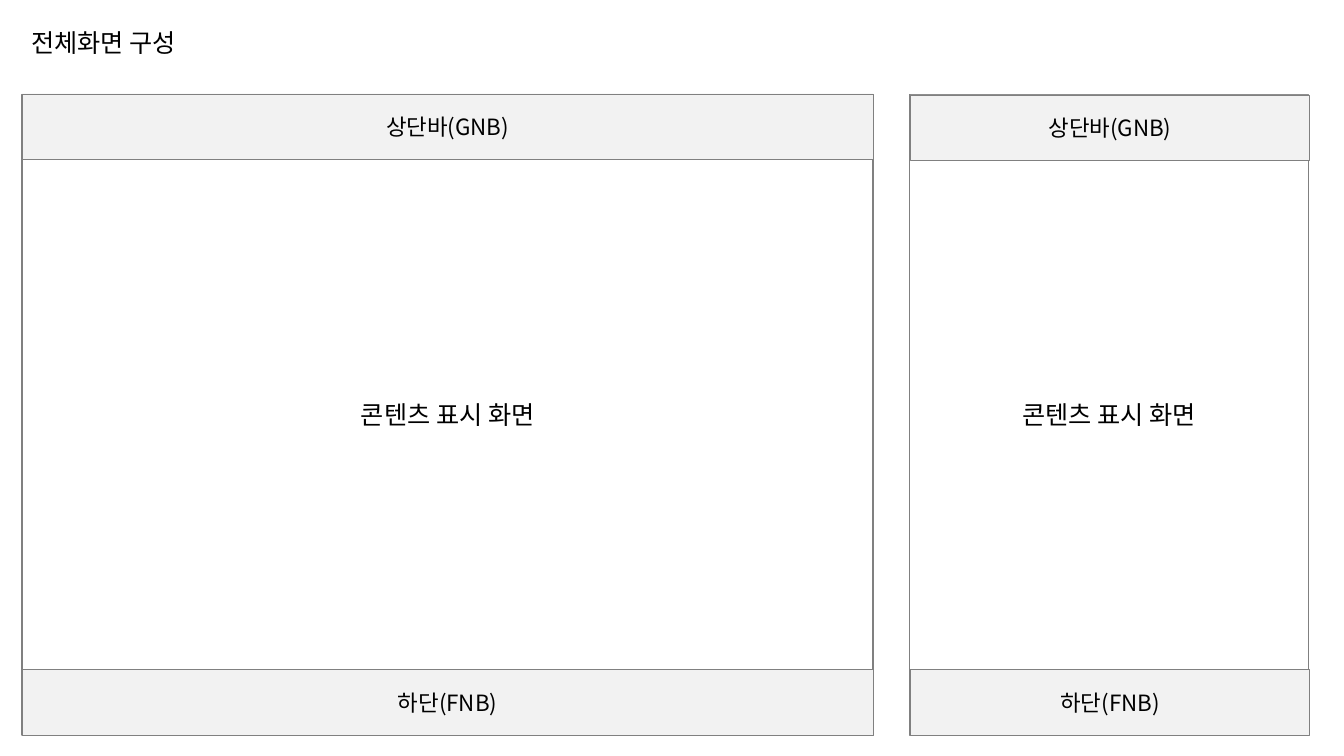
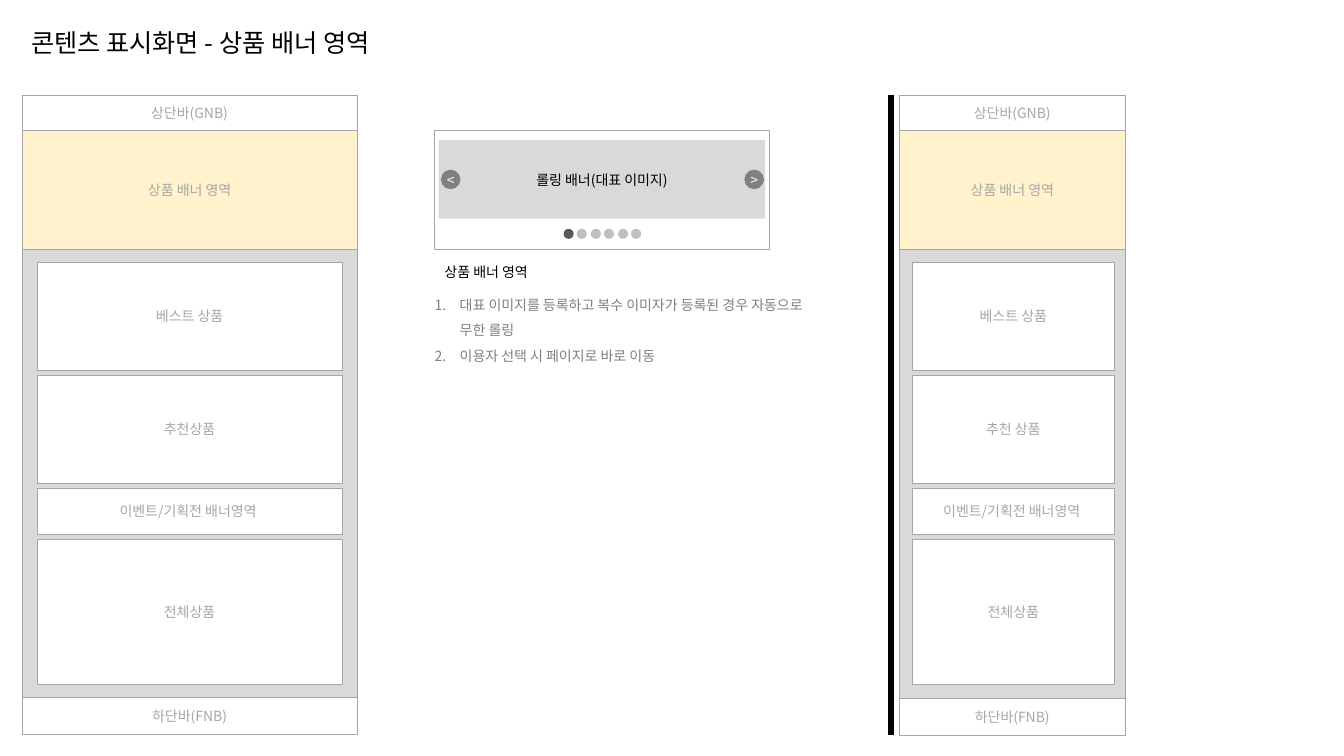
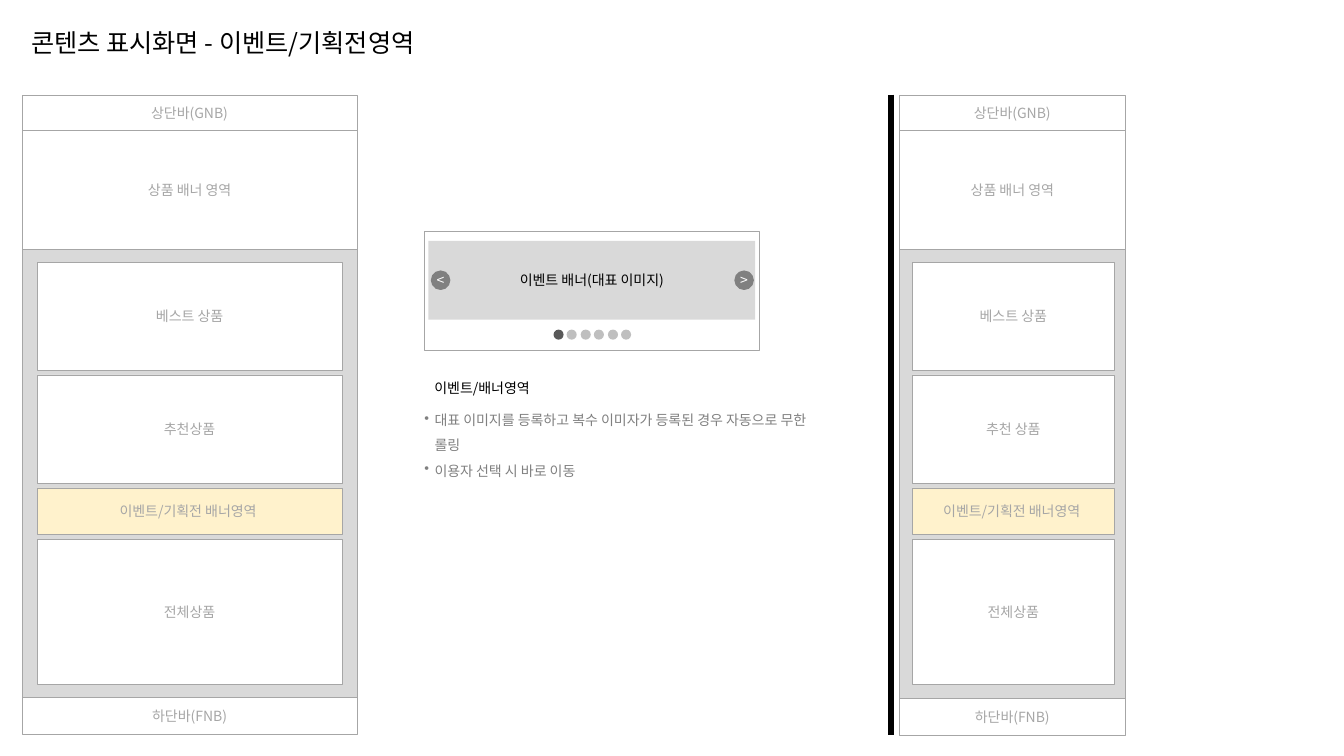
from lxml.etree import SubElement
from pptx import Presentation
from pptx.dml.color import RGBColor
from pptx.enum.shapes import MSO_CONNECTOR, MSO_SHAPE
from pptx.enum.text import MSO_ANCHOR, MSO_AUTO_SIZE, PP_ALIGN
from pptx.oxml.ns import qn
from pptx.util import Emu, Pt


def px(length):
    return Emu(length * 9144)


def color(value):
    return RGBColor.from_string(value)


def apply(target, values):
    for name, value in values.items():
        setattr(target, name, value)


class Wireframe:
    FONT = "Noto Sans CJK KR"
    BLACK = "000000"
    WHITE = "FFFFFF"
    DARK = "595959"
    GRAY = "808080"
    MUTED = "A6A6A6"
    DOT = "BFBFBF"
    PANEL = "D9D9D9"
    BAND = "F2F2F2"
    HIGHLIGHT = "FFF2CC"
    NO_INSETS = {"margin_left": 0, "margin_top": 0, "margin_right": 0, "margin_bottom": 0}
    GROWING = {"word_wrap": True, "auto_size": MSO_AUTO_SIZE.SHAPE_TO_FIT_TEXT}
    CENTERED = {"word_wrap": True, "vertical_anchor": MSO_ANCHOR.MIDDLE}

    def __init__(self):
        self.presentation = Presentation()
        apply(self.presentation, {"slide_width": px(1333), "slide_height": px(750)})
        self.slide = None

    def add_slide(self, title):
        self.slide = self.presentation.slides.add_slide(self.presentation.slide_layouts[6])
        self.text(21, 22, 1277, 40, title, 18)

    def add_text(self, paragraph, text, size, text_color):
        run = paragraph.add_run()
        run.text = text
        apply(run.font, {"name": self.FONT, "size": Pt(size)})
        run.font.color.rgb = color(text_color)
        SubElement(run._r.get_or_add_rPr(), qn("a:ea"), typeface=self.FONT)

    def text(self, left, top, width, height, text, size):
        box = self.slide.shapes.add_textbox(px(left), px(top), px(width), px(height))
        apply(box.text_frame, self.GROWING)
        self.add_text(box.text_frame.paragraphs[0], text, size, self.BLACK)

    def bullets(self, left, top, items, indent, tag, attributes):
        box = self.slide.shapes.add_textbox(px(left), px(top), px(393), px(72))
        frame = box.text_frame
        apply(frame, self.GROWING | self.NO_INSETS)
        for index, item in enumerate(items):
            paragraph = frame.add_paragraph() if index else frame.paragraphs[0]
            paragraph.line_spacing = 1.5
            properties = paragraph._p.get_or_add_pPr()
            properties.set("marL", str(px(indent)))
            properties.set("indent", str(px(-indent)))
            SubElement(properties, qn(tag), attributes)
            self.add_text(paragraph, item, 10, self.GRAY)

    def shape(self, left, top, width, height, fill, text="", size=10, text_color=MUTED,
              line=MUTED, weight=0.25, kind=MSO_SHAPE.RECTANGLE, frame_values=CENTERED):
        shape = self.slide.shapes.add_shape(kind, px(left), px(top), px(width), px(height))
        shape.shadow.inherit = False
        shape.fill.solid()
        shape.fill.fore_color.rgb = color(fill)
        if line:
            shape.line.color.rgb = color(line)
            shape.line.width = Pt(weight)
        else:
            shape.line.fill.background()
        if text:
            apply(shape.text_frame, frame_values)
            paragraph = shape.text_frame.paragraphs[0]
            paragraph.alignment = PP_ALIGN.CENTER
            self.add_text(paragraph, text, size, text_color)

    def divider(self, left, top, bottom):
        connector = self.slide.shapes.add_connector(
            MSO_CONNECTOR.STRAIGHT, px(left), px(top), px(left), px(bottom))
        connector.line.color.rgb = color(self.BLACK)
        connector.line.width = Pt(4.5)
        SubElement(connector._element.spPr, qn("a:effectLst"))

    def screen(self, left, width, band_left, header_top):
        self.shape(left, 94, width, 635, self.WHITE, "콘텐츠 표시 화면", 18, self.BLACK, self.GRAY, 1)
        for top, label in ((header_top, "상단바(GNB)"), (664, "하단(FNB)")):
            self.shape(band_left, top, width, 65, self.BAND, label, 16, self.BLACK, self.GRAY)

    def page_map(self, left, width, inner_left, inner_width, footer_top, recommended, highlighted):
        def section(x, y, w, h, label):
            fill = self.HIGHLIGHT if label == highlighted else self.WHITE
            self.shape(x, y, w, h, fill, label)

        self.shape(left, 247, width, footer_top - 247, self.PANEL)
        section(left, 94, width, 36, "상단바(GNB)")
        section(left, 129, width, 118, BANNER)
        section(left, footer_top, width, 36, "하단바(FNB)")
        top = 260
        for label, height in (("베스트 상품", 107), (recommended, 107), (EVENT, 46), ("전체상품", 144)):
            section(inner_left, top, inner_width, height, label)
            top += height + 5

    def page_maps(self, highlighted):
        self.page_map(22, 332, 37, 302, 692, "추천상품", highlighted)
        self.divider(884, 94, 729)
        self.page_map(892, 224, 905, 200, 693, "추천 상품", highlighted)

    def carousel(self, left, top, label):
        self.shape(left, top, 332, 118, self.WHITE)
        for index in range(6):
            fill = self.DOT if index else self.DARK
            self.shape(left + 128 + round(13.4 * index), top + 98, 10, 10, fill,
                       line=None, kind=MSO_SHAPE.OVAL)
        self.shape(left + 4, top + 10, 324, 78, self.PANEL, label, text_color=self.BLACK, line=None)
        for offset, arrow in ((7, "<"), (308, ">")):
            self.shape(left + offset, top + 40, 18, 18, self.GRAY, arrow, 10, self.WHITE, self.GRAY, 1,
                       MSO_SHAPE.OVAL, self.CENTERED | self.NO_INSETS | {"word_wrap": False})


BANNER = "상품 배너 영역"
EVENT = "이벤트/기획전 배너영역 "
ROLLING = "대표 이미지를 등록하고 복수 이미자가 등록된 경우 자동으로 무한 롤링"


def main():
    wireframe = Wireframe()

    wireframe.add_slide("전체화면 구성")
    wireframe.screen(902, 396, 903, 94)
    wireframe.screen(22, 844, 22, 93)

    wireframe.add_slide("콘텐츠 표시화면 - 상품 배너 영역")
    wireframe.page_maps(BANNER)
    wireframe.carousel(431, 129, "롤링 배너(대표 이미지)")
    wireframe.text(431, 257, 251, 27, BANNER, 10)
    wireframe.bullets(431, 286, (ROLLING, "이용자 선택 시 페이지로 바로 이동"), 25,
                      "a:buAutoNum", {"type": "arabicPeriod"})

    wireframe.add_slide("콘텐츠 표시화면 - 이벤트/기획전영역")
    wireframe.page_maps(EVENT)
    wireframe.carousel(421, 229, "이벤트 배너(대표 이미지)")
    wireframe.text(421, 372, 251, 27, "이벤트/배너영역", 10)
    wireframe.bullets(421, 400, (ROLLING, "이용자 선택 시 바로 이동"), 10,
                      "a:buChar", {"char": "•"})

    wireframe.presentation.save("out.pptx")


if __name__ == "__main__":
    main()
